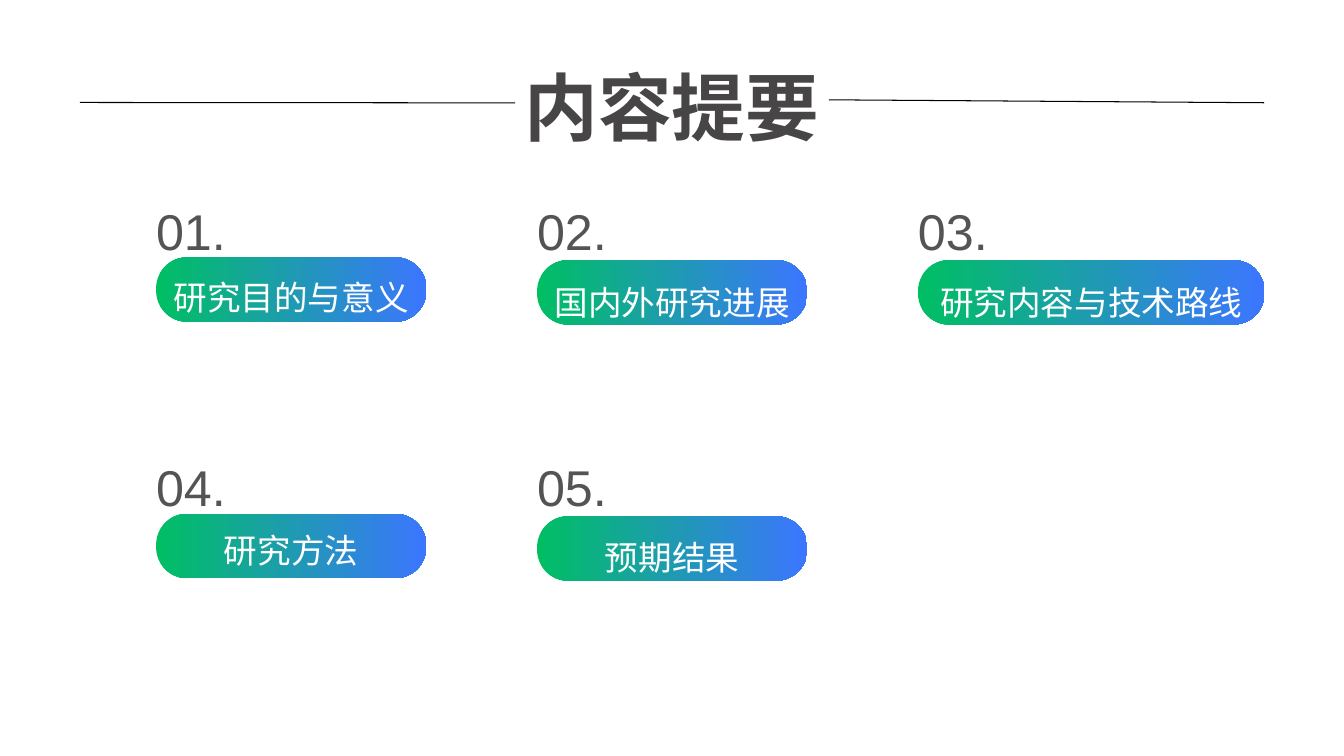
from lxml import etree
from pptx import Presentation
from pptx.dml.color import RGBColor
from pptx.enum.shapes import MSO_CONNECTOR, MSO_SHAPE
from pptx.enum.text import PP_ALIGN
from pptx.oxml.ns import qn
from pptx.util import Pt

STRAIGHT = MSO_CONNECTOR.STRAIGHT
ROUNDED = MSO_SHAPE.ROUNDED_RECTANGLE
LEFT, CENTER = PP_ALIGN.LEFT, PP_ALIGN.CENTER
CJK = "Noto Sans CJK SC"
COLORS = {
    "title": "474545",
    "number": "545454",
    "label": "FFFFFF",
    "rule": "000000",
    "green": "00BF63",
    "blue": "3C76FF",
}

prs = Presentation()
prs.slide_width, prs.slide_height = Pt(960), Pt(540)
slide = prs.slides.add_slide(prs.slide_layouts[6])
shapes = slide.shapes


def color(name):
    return RGBColor.from_string(COLORS[name])


def add_text(text, left, top, width, height, *, size, spacing, fill,
             font=CJK, align=CENTER, bold=False):
    frame = shapes.add_textbox(Pt(left), Pt(top), Pt(width), Pt(height)).text_frame
    frame.word_wrap = True
    frame.margin_left = frame.margin_right = frame.margin_top = frame.margin_bottom = 0
    paragraph = frame.paragraphs[0]
    paragraph.alignment = align
    paragraph.line_spacing = Pt(spacing)
    run = paragraph.add_run()
    run.text = text
    run.font.size = Pt(size)
    run.font.bold = bold
    run.font.color.rgb = color(fill)
    run.font.name = font
    east_asian = etree.SubElement(run._r.get_or_add_rPr(), qn("a:ea"))
    east_asian.set("typeface", font)


# Title between two rules
add_text("内容提要", 368, 34, 224, 144.5, size=52.6, spacing=73.6, fill="title", bold=True)
for x1, y1, x2, y2 in [(57, 73.2, 368, 73.5), (592, 71.3, 903, 73.4)]:
    rule = shapes.add_connector(STRAIGHT, Pt(x1), Pt(y1), Pt(x2), Pt(y2))
    rule.line.color.rgb = color("rule")
    rule.line.width = Pt(0.75)
    etree.SubElement(rule._element.spPr, qn("a:effectLst"))

# Agenda: label, pill width, pill top, label top
sections = [
    ("研究目的与意义", 193, 183.8, 180.7),
    ("国内外研究进展", 193, 185.8, 184.3),
    ("研究内容与技术路线", 247.5, 185.8, 184.3),
    ("研究方法", 193, 367, 361.4),
    ("预期结果", 193, 368.8, 365.8),
]
FIRST_LEFT, COLUMN_STEP = 111.5, 272.1
FIRST_TOP, ROW_STEP = 136, 183
for index, (label, width, pill_top, label_top) in enumerate(sections):
    row, column = divmod(index, 3)
    left = FIRST_LEFT + column * COLUMN_STEP
    pill = shapes.add_shape(ROUNDED, Pt(left), Pt(pill_top), Pt(width), Pt(46))
    pill.adjustments[0] = 0.48
    pill.shadow.inherit = False
    pill.line.fill.background()
    pill.fill.gradient()
    pill.fill.gradient_angle = 0
    for stop, name in zip(pill.fill.gradient_stops, ("green", "blue")):
        stop.color.rgb = color(name)
    add_text(f"{index + 1:02}.", left, FIRST_TOP + row * ROW_STEP, 116, 47,
             size=35.9, spacing=50.3, fill="number", font="Arial", align=LEFT)
    add_text(label, left, label_top, width, 41, size=24, spacing=46.2, fill="label")

prs.save("out.pptx")
